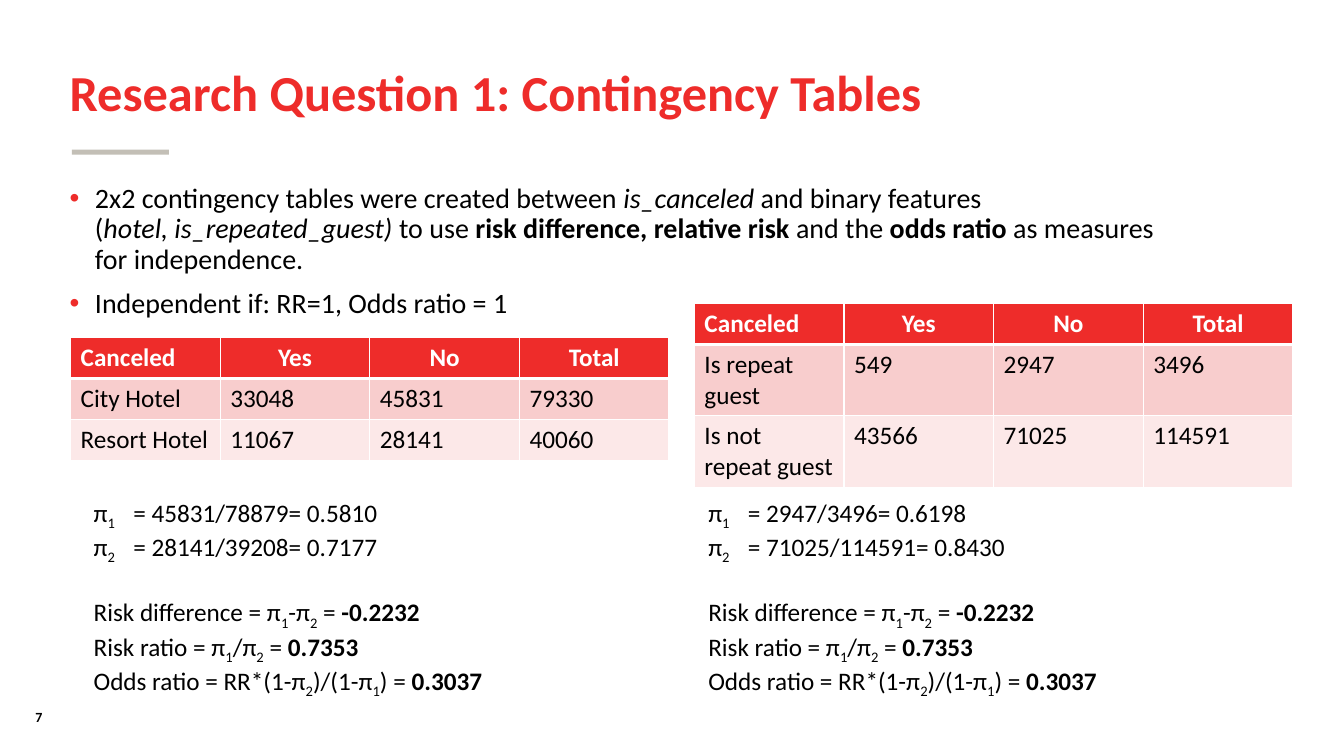
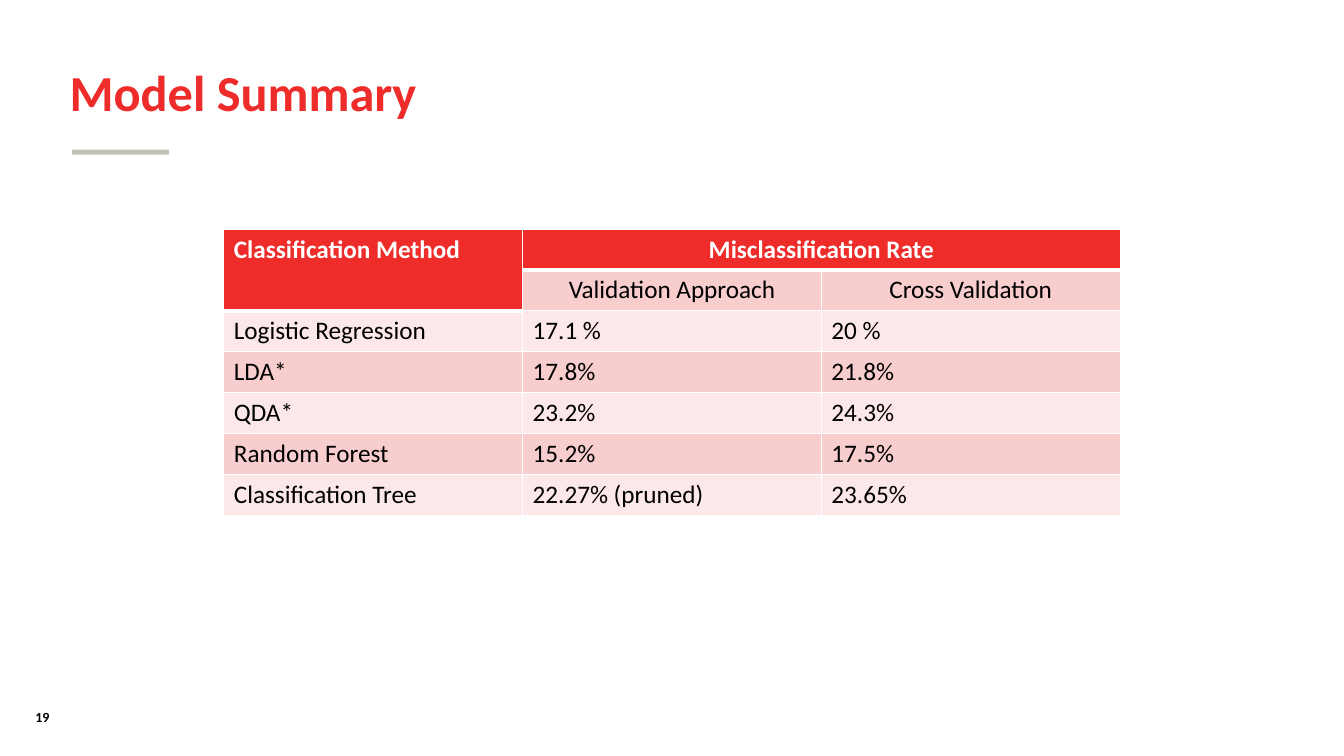
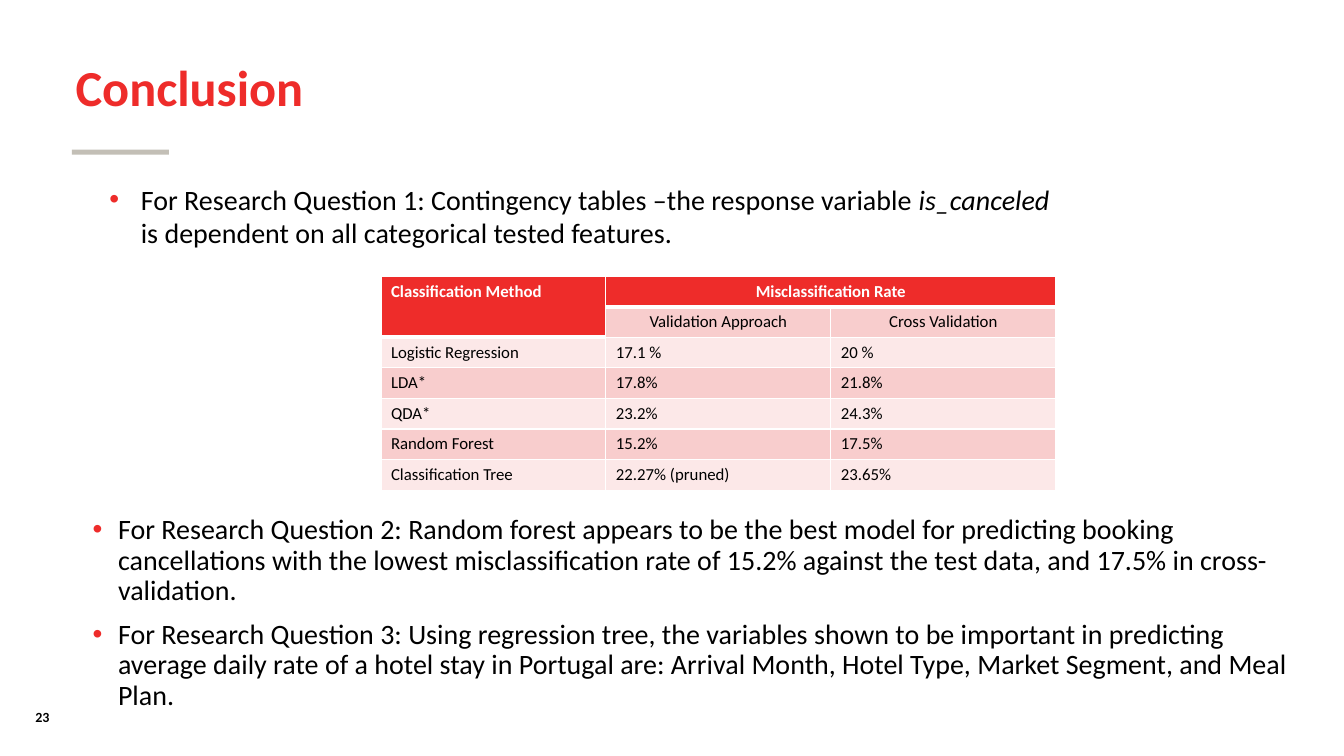
from lxml import etree
from pptx import Presentation
from pptx.dml.color import RGBColor
from pptx.enum.shapes import MSO_SHAPE as Shape
from pptx.enum.text import MSO_ANCHOR as Anchor, MSO_AUTO_SIZE as AutoSize, PP_ALIGN as Align
from pptx.oxml.ns import qn
from pptx.util import Cm, Pt

FONT = "Calibri"
RED, GREY, BLACK, WHITE = "EE2C2A", "C3BFB6", "000000", "FFFFFF"
BANDS = ("F8CDCD", "FCE8E8")
TITLE_ONLY, TITLE_AND_BODY = 5, 1
NBSP = chr(160)

HOTEL_ROWS = [
    ("Canceled", "Yes", "No", "Total"),
    ("City Hotel", "33048", "45831", "79330"),
    ("Resort Hotel", "11067", "28141", "40060"),
]
GUEST_ROWS = [
    ("Canceled", "Yes", "No", "Total"),
    ("Is repeat guest", "549", "2947", "3496"),
    ("Is not repeat guest", "43566", "71025", "114591"),
]
MODEL_ROWS = [
    ("Classification Method", "Misclassification Rate", ""),
    ("", "Validation Approach", "Cross Validation"),
    ("Logistic Regression", "17.1 %", "20 %"),
    ("LDA*", "17.8%", "21.8%"),
    ("QDA*", "23.2%", "24.3%"),
    ("Random Forest", "15.2%", "17.5%"),
    ("Classification Tree", "22.27% (pruned)", "23.65%"),
]
RISK_RESULTS = [
    ("Risk difference = π1-π2 = ", "-0.2232"),
    ("Risk ratio = π1/π2 = ", "0.7353"),
    ("Odds ratio = RR*(1-π2)/(1-π1) = ", "0.3037"),
]


def rgb(color):
    return RGBColor.from_string(color)


def place(shape, left, top, width, height):
    shape.left, shape.top, shape.width, shape.height = map(Cm, (left, top, width, height))


def set_font(paragraph, size, color=BLACK, bold=False):
    font = paragraph.font
    font.name, font.size, font.bold = FONT, Pt(size), bold
    font.color.rgb = rgb(color)


def add_runs(paragraph, runs):
    """Add (text, style) runs; style is "", "b", "i" or "sub"."""
    for text, style in runs:
        run = paragraph.add_run()
        run.text = text
        if style == "b":
            run.font.bold = True
        elif style == "i":
            run.font.italic = True
        elif style == "sub":
            run.font._element.set("baseline", "-25000")


def formula_runs(formula):
    """Lower the index that follows each π."""
    start, *terms = formula.split("π")
    runs = [(start, "")]
    for term in terms:
        runs += [("π", ""), (term[0], "sub"), (term[1:], "")]
    return [run for run in runs if run[0]]


def add_text_box(slide, left, top, width, height):
    frame = slide.shapes.add_textbox(*map(Cm, (left, top, width, height))).text_frame
    frame.word_wrap = True
    return frame


def next_paragraph(frame, index):
    return frame.add_paragraph() if index else frame.paragraphs[0]


def add_bullet(paragraph, indent):
    properties = paragraph._p.get_or_add_pPr()
    properties.set("marL", str(Cm(indent)))
    properties.set("indent", str(-Cm(indent)))
    bullet_color = etree.SubElement(properties, qn("a:buClr"))
    etree.SubElement(bullet_color, qn("a:srgbClr"), val=RED)
    etree.SubElement(properties, qn("a:buFont"), typeface="Arial")
    etree.SubElement(properties, qn("a:buChar"), char="•")


def fill_bullets(frame, items, indent=0.64, line_spacing=0.9):
    for index, runs in enumerate(items):
        paragraph = next_paragraph(frame, index)
        add_bullet(paragraph, indent)
        paragraph.line_spacing = line_spacing
        paragraph.space_before = Pt(10)
        set_font(paragraph, 20)
        add_runs(paragraph, runs)


def fill_body(slide, items, *box):
    body = slide.placeholders[1]
    place(body, *box)
    body.text_frame.auto_size = AutoSize.NONE
    fill_bullets(body.text_frame, items)


def add_slide(deck, layout, title, number, left=1.5, top=1.02):
    """Add a slide with the shared title, accent bar and page number."""
    slide = deck.slides.add_slide(deck.slide_layouts[layout])
    heading = slide.shapes.title
    place(heading, left, top, 28.55, 2.74)
    frame = heading.text_frame
    frame.text = title
    frame.vertical_anchor = Anchor.MIDDLE
    frame.auto_size = AutoSize.NONE
    paragraph = frame.paragraphs[0]
    paragraph.alignment = Align.LEFT
    paragraph.line_spacing = 0.9
    set_font(paragraph, 36, RED, bold=True)

    accent = slide.shapes.add_shape(Shape.RECTANGLE, Cm(1.81), Cm(3.77), Cm(2.45), Cm(0.13))
    accent.shadow.inherit = False
    accent.fill.solid()
    accent.fill.fore_color.rgb = rgb(GREY)
    accent.line.fill.background()

    page = add_text_box(slide, 0.64, 17.73, 2.9, 0.68)
    page.text = str(number)
    set_font(page.paragraphs[0], 10, bold=True)
    return slide


def set_borders(cell, top, bottom):
    properties = cell._tc.get_or_add_tcPr()
    widths = {"a:lnL": 1, "a:lnR": 1, "a:lnT": top, "a:lnB": bottom}
    for position, (side, width) in enumerate(widths.items()):
        border = etree.Element(qn(side), w=str(Pt(width)))
        fill = etree.SubElement(border, qn("a:solidFill"))
        etree.SubElement(fill, qn("a:srgbClr"), val=WHITE)
        properties.insert(position, border)


def add_grid(slide, rows, left, top, column_width, row_height, size=18,
             header_height=None, centred_rows=1):
    """Add a banded table with a red header row."""
    header_height = header_height or row_height
    columns = len(rows[0])
    height = header_height + row_height * (len(rows) - 1)
    table = slide.shapes.add_table(len(rows), columns, Cm(left), Cm(top),
                                   Cm(column_width * columns), Cm(height)).table
    for r, texts in enumerate(rows):
        table.rows[r].height = Cm(row_height if r else header_height)
        for c, text in enumerate(texts):
            cell = table.cell(r, c)
            cell.text = text
            cell.fill.solid()
            cell.fill.fore_color.rgb = rgb(BANDS[(r - 1) % 2] if r else RED)
            set_borders(cell, top=3 if r == 1 else 1, bottom=1 if r else 3)
            paragraph = cell.text_frame.paragraphs[0]
            if c and r < centred_rows:
                paragraph.alignment = Align.CENTER
            set_font(paragraph, size, BLACK if r else WHITE, bold=r == 0)
    return table


def add_model_grid(slide, *place_and_size):
    table = add_grid(slide, MODEL_ROWS, *place_and_size, centred_rows=2)
    table.cell(0, 0).merge(table.cell(1, 0))
    table.cell(0, 1).merge(table.cell(0, 2))


def add_risk_measures(slide, left, proportions):
    """Show both proportions, then the measures derived from them."""
    frame = add_text_box(slide, left, 12.4, 14, 4.88)
    lines = [(f"π{i}\t= {value}", "") for i, value in enumerate(proportions, 1)]
    for index, (formula, result) in enumerate(lines + RISK_RESULTS):
        paragraph = next_paragraph(frame, index)
        if not result:
            tabs = etree.SubElement(paragraph._p.get_or_add_pPr(), qn("a:tabLst"))
            etree.SubElement(tabs, qn("a:tab"), pos=str(Cm(1)), algn="l")
        if index == len(lines):
            paragraph.space_before = Pt(22)
        set_font(paragraph, 18)
        add_runs(paragraph, formula_runs(formula))
        if result:
            add_runs(paragraph, [(result, "b")])


def add_contingency_slide(deck):
    slide = add_slide(deck, TITLE_AND_BODY, "Research Question 1: Contingency Tables", 7)
    fill_body(slide, [
        [("2x2 contingency tables were created between ", ""),
         ("is_canceled ", "i"),
         ("and binary features (", ""),
         (f"hotel,{NBSP}is_repeated_guest)", "i"),
         (f"{NBSP}to use ", ""),
         ("risk difference, relative risk ", "b"),
         ("and the ", ""),
         ("odds ratio ", "b"),
         ("as measures for independence.", "")],
        [("Independent if: RR=1, Odds ratio = 1", "")],
    ], 1.5, 4.52, 28.55, 3.81)
    add_grid(slide, HOTEL_ROWS, 1.78, 8.51, 3.77, 1.03)
    add_grid(slide, GUEST_ROWS, 17.5, 7.65, 3.77, 1.8, header_height=1.03)
    add_risk_measures(slide, 2.11, ("45831/78879= 0.5810", "28141/39208= 0.7177"))
    add_risk_measures(slide, 17.6, ("2947/3496= 0.6198", "71025/114591= 0.8430"))


def add_summary_slide(deck):
    slide = add_slide(deck, TITLE_ONLY, "Model Summary", 19)
    add_model_grid(slide, 5.64, 5.77, 7.53, 1.03)


def add_conclusion_slide(deck):
    slide = add_slide(deck, TITLE_AND_BODY, "Conclusion", 23, left=1.65, top=0.91)
    fill_body(slide, [
        [("For Research Question 2: Random forest appears to be the best model for predicting "
          "booking cancellations with the lowest misclassification rate of 15.2% against the "
          "test data, and 17.5% in cross-validation.", "")],
        [("For Research Question 3: Using regression tree, the variables shown to be important "
          "in predicting average daily rate of a hotel stay in Portugal are: Arrival Month, "
          "Hotel Type, Market Segment, and Meal Plan.", "")],
    ], 2.08, 12.87, 30.86, 5.1)
    add_model_grid(slide, 9.6, 6.96, 5.67, 0.77, 12)
    first_answer = add_text_box(slide, 2.51, 4.47, 24.69, 2)
    fill_bullets(first_answer, [
        [("For Research Question 1: Contingency tables –the response variable ", ""),
         ("is_canceled", "i"),
         (" is dependent on all categorical tested features.", "")],
    ], indent=0.79, line_spacing=1.0)


def main():
    deck = Presentation()
    deck.slide_width, deck.slide_height = Cm(33.87), Cm(19.05)
    add_contingency_slide(deck)
    add_summary_slide(deck)
    add_conclusion_slide(deck)
    deck.save("out.pptx")


if __name__ == "__main__":
    main()
